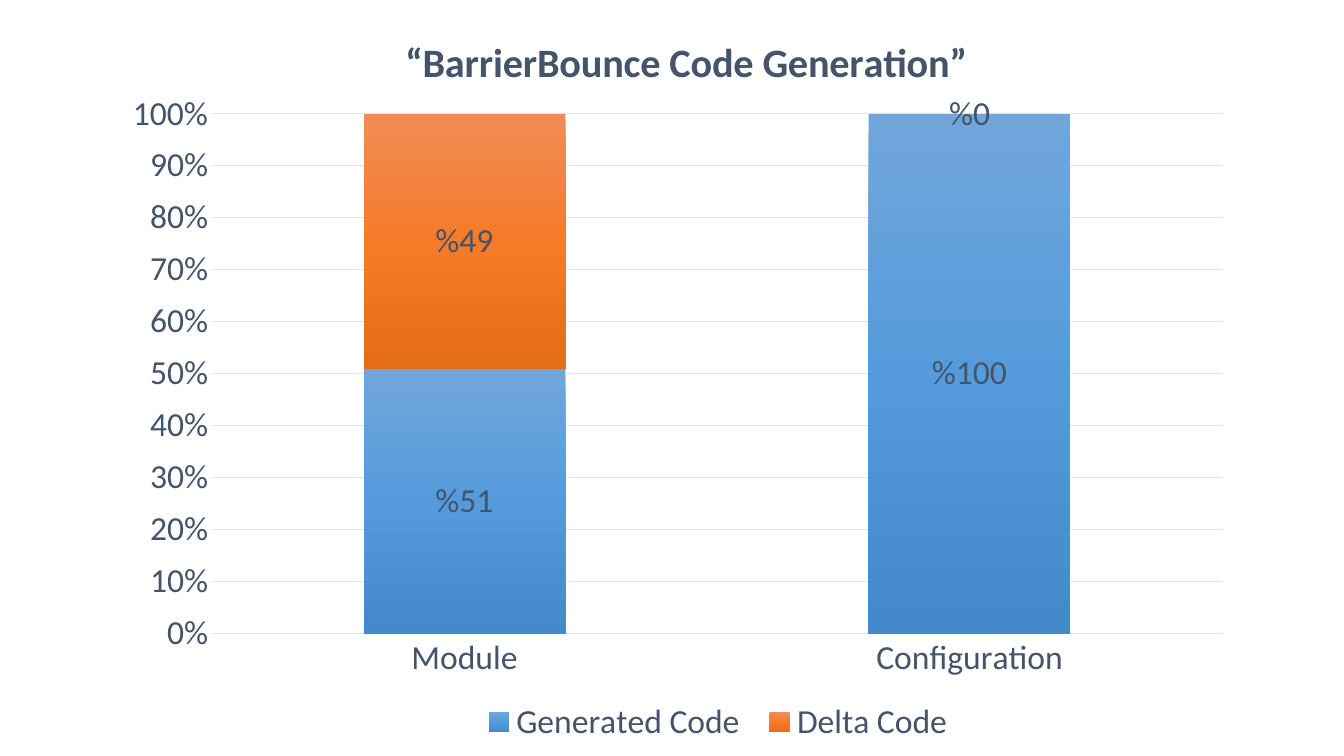
from pptx import Presentation, util as u
from pptx.chart.data import CategoryChartData
from pptx.dml.color import RGBColor
from pptx.enum import chart as kinds
from pptx.oxml import parse_xml
from pptx.oxml.ns import nsdecls, qn

SCALE = 914400 / 100.8
INK, GRID = "44546A", "E0E5EB"
GRADIENTS = {
    "Generated Code": ("71A6DB", "559BDB", "448ACA"),
    "Delta Code": ("F18C57", "F67B28", "E56C19"),
}


def px(length):
    return u.Emu(round(length * SCALE))


def color(value):
    return RGBColor.from_string(value)


def style(font, size=24, bold=False):
    font.name, font.size, font.bold = "Calibri", u.Pt(size), bold
    font.color.rgb = color(INK)


def draw_line(line):
    line.color.rgb = color(GRID)
    line.width = u.Pt(0.75)


def fill_gradient(series, stops):
    marks = "".join(
        f'<a:gs pos="{i * 50000}"><a:srgbClr val="{stop}"/></a:gs>'
        for i, stop in enumerate(stops))
    series.format.line.fill.background()
    series._element.get_or_add_spPr().insert(0, parse_xml(
        f'<a:gradFill {nsdecls("a")} rotWithShape="1"><a:gsLst>{marks}</a:gsLst>'
        '<a:lin ang="5400000" scaled="0"/></a:gradFill>'))


def set_layout(element, index, box, area, inner=False, sized=True):
    """Fix a chart part at an area given in page pixels."""
    for old in element.findall(qn("c:layout")):
        element.remove(old)
    left, top, width, height = box
    shares = {"x": (area[0] - left) / width, "y": (area[1] - top) / height}
    if sized:
        shares.update(w=area[2] / width, h=area[3] / height)
    target = '<c:layoutTarget val="inner"/>' if inner else ""
    modes = '<c:xMode val="edge"/><c:yMode val="edge"/>'
    values = "".join(f'<c:{key} val="{share:.4f}"/>' for key, share in shares.items())
    element.insert(index, parse_xml(
        f'<c:layout {nsdecls("c")}><c:manualLayout>{target}{modes}{values}'
        '</c:manualLayout></c:layout>'))


def add_code_chart(page, box):
    data = CategoryChartData(number_format="0%")
    data.categories = ["Module", "Configuration"]
    data.add_series("Generated Code", (0.51, 1))
    data.add_series("Delta Code", (0.49, 0))
    chart = page.shapes.add_chart(
        kinds.XL_CHART_TYPE.COLUMN_STACKED_100, *map(px, box), data).chart
    style(chart.font)

    # Title
    chart.has_title = True
    title = chart.chart_title
    title.include_in_layout = False
    para = title.text_frame.paragraphs[0]
    span = para.add_run()
    span.text = "“BarrierBounce Code Generation”"
    style(para.font, 28.8, True)
    style(span.font, 28.8, True)
    set_layout(title._element, 1, box, (398, 28), sized=False)

    # Axes
    for axis in (chart.category_axis, chart.value_axis):
        axis.major_tick_mark = axis.minor_tick_mark = kinds.XL_TICK_MARK.NONE
        style(axis.tick_labels.font)
    draw_line(chart.category_axis.format.line)
    scale = chart.value_axis
    scale.minimum_scale, scale.maximum_scale, scale.major_unit = 0, 1, 0.1
    scale.tick_labels.number_format = "0%"
    scale.tick_labels.number_format_is_linked = False
    scale.format.line.fill.background()
    draw_line(scale.major_gridlines.format.line)

    # Columns and their labels
    plot = chart.plots[0]
    plot.gap_width, plot.overlap, plot.vary_by_categories = 150, 100, False
    for series in plot.series:
        fill_gradient(series, GRADIENTS[series.name])
        labels = series.data_labels
        labels.show_value = True
        labels.position = kinds.XL_LABEL_POSITION.CENTER
        labels.number_format, labels.number_format_is_linked = "%0", False
        style(labels.font)
    set_layout(chart._chartSpace.chart.plotArea, 0, box, (212, 114, 1010, 520), inner=True)

    # Legend
    chart.has_legend = True
    legend = chart.legend
    legend.position = kinds.XL_LEGEND_POSITION.BOTTOM
    legend.include_in_layout = False
    style(legend.font)
    set_layout(legend._element, 1, box, (470, 702, 496, 44))


deck = Presentation()
deck.slide_width, deck.slide_height = px(1344), px(756)
page = deck.slides.add_slide(deck.slide_layouts[6])
add_code_chart(page, (111, 0, 1134, 756))
deck.save("out.pptx")
